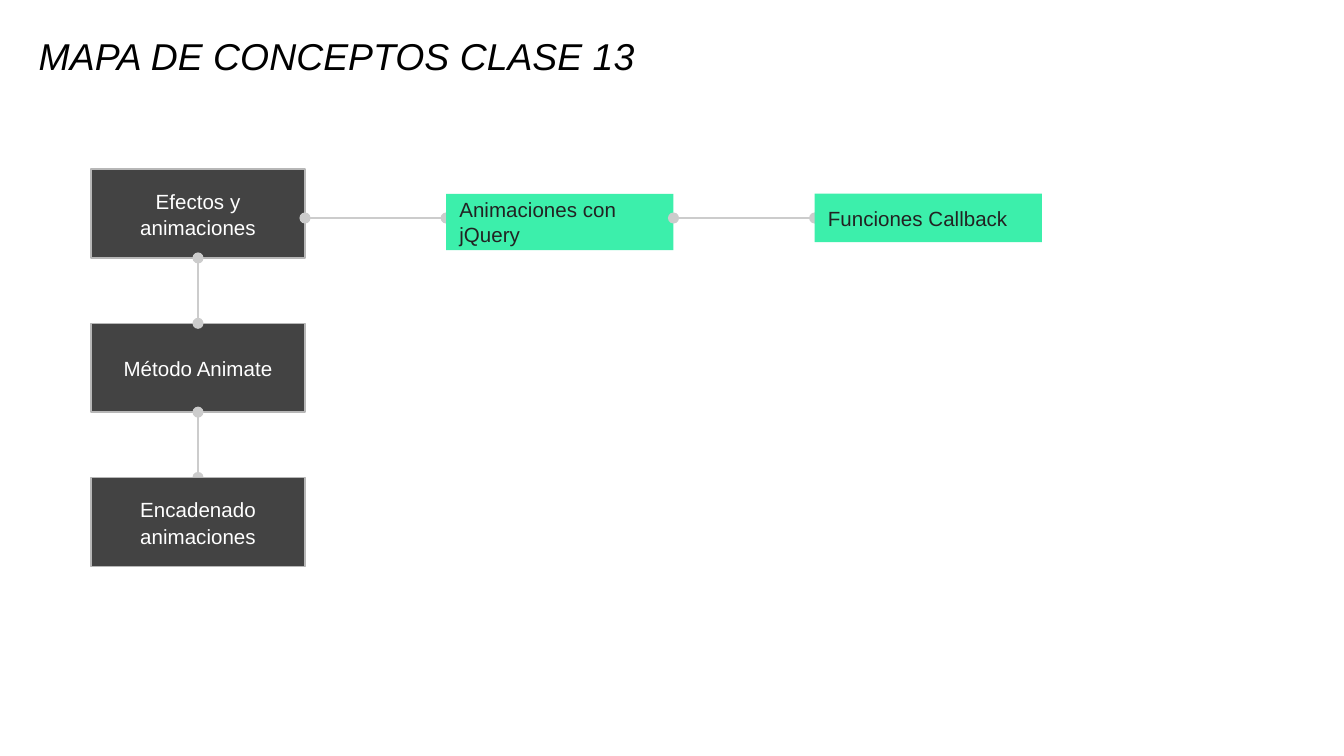
from pptx import Presentation
from pptx.dml.color import RGBColor
from pptx.enum.shapes import MSO_CONNECTOR, MSO_SHAPE
from pptx.enum.text import MSO_ANCHOR, PP_ALIGN
from pptx.oxml.ns import qn
from pptx.util import Pt
from lxml import etree

RECTANGLE = MSO_SHAPE.RECTANGLE
STRAIGHT = MSO_CONNECTOR.STRAIGHT
MIDDLE, BOTTOM = MSO_ANCHOR.MIDDLE, MSO_ANCHOR.BOTTOM
LEFT, CENTER = PP_ALIGN.LEFT, PP_ALIGN.CENTER

TOPICS = ["Efectos y animaciones", "Método Animate", "Encadenado animaciones"]
SUBTOPICS = [("Animaciones con jQuery", 30.24), ("Funciones Callback", 25.92)]


def color(value):
    return RGBColor.from_string(value)


def write(shape, text, size, ink, align, anchor, italic=None, spacing=None):
    frame = shape.text_frame
    frame.word_wrap = True
    frame.vertical_anchor = anchor
    frame.margin_left = frame.margin_right = Pt(7.2)
    frame.margin_top = frame.margin_bottom = Pt(7.2)
    frame.text = text
    para = frame.paragraphs[0]
    para.alignment = align
    para.line_spacing = spacing
    font = para.runs[0].font
    font.name, font.size, font.italic = "Arial", Pt(size), italic
    font.color.rgb = color(ink)


def add_node(page, text, left, top, width, height, fill, ink, align,
             border=None, spacing=None):
    node = page.shapes.add_shape(RECTANGLE, Pt(left), Pt(top), Pt(width), Pt(height))
    node.shadow.inherit = False
    node.fill.solid()
    node.fill.fore_color.rgb = color(fill)
    if border:
        node.line.color.rgb = color(border)
        node.line.width = Pt(0.75)
    else:
        node.line.fill.background()
    write(node, text, 11, ink, align, MIDDLE, spacing=spacing)


def add_link(page, x1, y1, x2, y2):
    link = page.shapes.add_connector(STRAIGHT, Pt(x1), Pt(y1), Pt(x2), Pt(y2))
    link.line.color.rgb = color("CCCCCC")
    link.line.width = Pt(0.75)
    outline = link.line._get_or_add_ln()
    for end in ("a:headEnd", "a:tailEnd"):
        etree.SubElement(outline, qn(end), type="oval")
    etree.SubElement(link._element.spPr, qn("a:effectLst"))


def add_title(page, left, top, width, height):
    box = page.shapes.add_textbox(Pt(left), Pt(top), Pt(width), Pt(height))
    write(box, "MAPA DE CONCEPTOS CLASE 13", 20, "000000", LEFT, BOTTOM, italic=True)


def add_topic_column(page, left, top, width, height, gap):
    step = height + gap
    center = left + width / 2

    def add_topic(index):
        add_node(page, TOPICS[index], left, top + index * step, width, height,
                 "434343", "FFFFFF", CENTER, border="B7B7B7", spacing=1.07)

    # The last topic covers the end of the link that reaches it
    last = len(TOPICS) - 1
    for index in range(last):
        add_topic(index)
    for index in range(last):
        bottom = top + index * step + height
        add_link(page, center, bottom, center, bottom + gap)
    add_topic(last)


def add_subtopic_row(page, left, top, width, gap, link_y):
    # Each subtopic follows a link from the node on its left
    for text, height in SUBTOPICS:
        add_link(page, left, link_y, left + gap, link_y)
        left += gap
        add_node(page, text, left, top, width, height, "3CEFAB", "222222", LEFT)
        left += width


def main():
    deck = Presentation()
    deck.slide_width, deck.slide_height = Pt(720), Pt(405)
    page = deck.slides.add_slide(deck.slide_layouts[6])
    add_title(page, 13.7, 15.8, 594.7, 33.1)
    add_topic_column(page, 48.8, 90.6, 114.6, 47.6, 35)
    add_subtopic_row(page, 163.4, 103.8, 121.8, 75.6, 116.8)
    deck.save("out.pptx")


if __name__ == "__main__":
    main()
